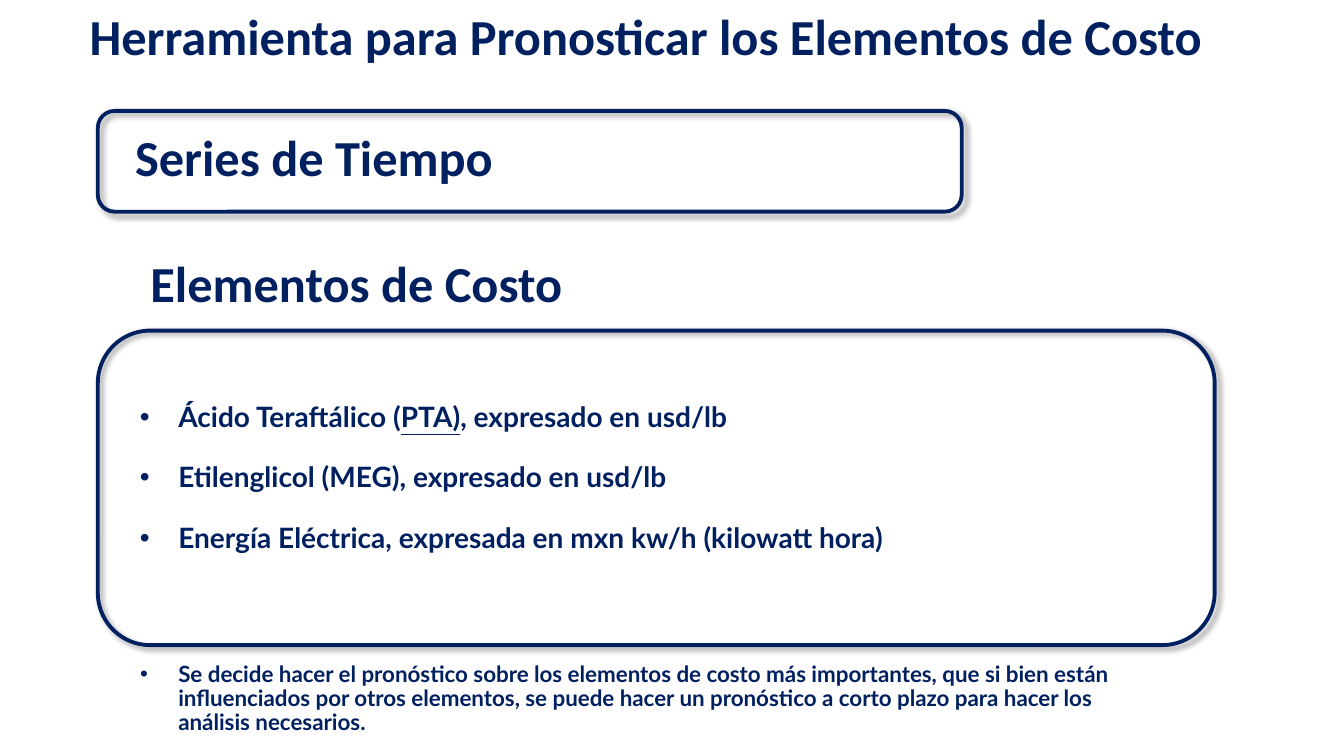
"""Build a slide on the tool used to forecast cost elements."""
from dataclasses import dataclass

from lxml import etree
from pptx import Presentation
from pptx.dml.color import RGBColor
from pptx.enum.shapes import MSO_SHAPE
from pptx.enum.text import MSO_ANCHOR, PP_ALIGN
from pptx.oxml import parse_xml
from pptx.oxml.ns import nsdecls, qn
from pptx.slide import Slide
from pptx.text.text import TextFrame
from pptx.util import Inches, Pt

NAVY = RGBColor(0x00, 0x20, 0x60)
BLACK = RGBColor(0x00, 0x00, 0x00)
ROUNDED = MSO_SHAPE.ROUNDED_RECTANGLE
MIDDLE = MSO_ANCHOR.MIDDLE
CENTER = PP_ALIGN.CENTER
SLIDE_WIDTH = Inches(13.33)
SLIDE_HEIGHT = Inches(7.5)
BULLET_INDENT = Inches(0.38)
LEFT_EDGE = 7.28
LIST_EDGE = 9.68
HEADING_HEIGHT = 7.73


@dataclass(frozen=True)
class Area:
    """Position and size in percent of the slide."""

    left: float
    top: float
    width: float
    height: float

    def box(self) -> tuple[int, int, int, int]:
        """Convert the shares to slide lengths."""
        return (
            int(SLIDE_WIDTH * self.left / 100),
            int(SLIDE_HEIGHT * self.top / 100),
            int(SLIDE_WIDTH * self.width / 100),
            int(SLIDE_HEIGHT * self.height / 100),
        )


@dataclass(frozen=True)
class Heading:
    """A centred, outlined line of text."""

    text: str
    area: Area


@dataclass(frozen=True)
class Piece:
    """A stretch of text within a bullet."""

    text: str
    underlined: bool = False


@dataclass(frozen=True)
class BulletList:
    """Bullets of one size, each made of pieces."""

    bullets: tuple[tuple[Piece, ...], ...]
    area: Area
    size: float
    gap: float = 0


TITLE = Heading(
    "Herramienta para Pronosticar los Elementos de Costo",
    Area(3.08, 1.73, 90, HEADING_HEIGHT),
)
COST_HEADING = Heading("Elementos de Costo", Area(LEFT_EDGE, 34.47, 38.48, HEADING_HEIGHT))
SERIES_HEADING = Heading("Series de Tiempo", Area(LEFT_EDGE, 17.8, 32.18, HEADING_HEIGHT))
COST_FRAME = Area(LEFT_EDGE, 43.73, 83.1, 41.6)
SERIES_FRAME = Area(LEFT_EDGE, 14.67, 64.28, 13.33)
COST_ELEMENTS = BulletList(
    (
        (
            Piece("Ácido Teraftálico ("),
            Piece("PTA)", underlined=True),
            Piece(", expresado en usd/lb"),
        ),
        (Piece("Etilenglicol (MEG), expresado en usd/lb"),),
        (Piece("Energía Eléctrica, expresada en mxn kw/h (kilowatt hora)"),),
    ),
    Area(LIST_EDGE, 53.33, 83.1, 20),
    size=20,
    gap=21.6,
)
DECISION = BulletList(
    (
        (
            Piece(
                "Se decide hacer el pronóstico sobre los elementos de costo más "
                "importantes, que si bien están influenciados por otros elementos, "
                "se puede hacer un pronóstico a corto plazo para hacer los análisis "
                "necesarios."
            ),
        ),
    ),
    Area(LIST_EDGE, 84.93, 75.3, 15.07),
    size=16,
)


def add_text_frame(slide: Slide, area: Area) -> TextFrame:
    """Add a wrapping, vertically centred text box."""
    frame = slide.shapes.add_textbox(*area.box()).text_frame
    frame.word_wrap = True
    frame.vertical_anchor = MIDDLE
    return frame


def draw_heading(slide: Slide, heading: Heading) -> None:
    """Draw a heading with a thin outline on its letters."""
    paragraph = add_text_frame(slide, heading.area).paragraphs[0]
    paragraph.alignment = CENTER
    paragraph.line_spacing = 0.7
    run = paragraph.add_run()
    run.text = heading.text
    outline = parse_xml(
        f'<a:ln {nsdecls("a")} w="{Pt(0.75)}"><a:solidFill>'
        f'<a:srgbClr val="{NAVY}"/></a:solidFill></a:ln>'
    )
    run._r.get_or_add_rPr().insert(0, outline)
    font = paragraph.font
    font.name, font.size, font.bold = "Calibri", Pt(36), True
    font.color.rgb = NAVY


def draw_bullets(slide: Slide, content: BulletList) -> None:
    """Draw a bulleted list with a hanging indent."""
    frame = add_text_frame(slide, content.area)
    for index, pieces in enumerate(content.bullets):
        paragraph = frame.add_paragraph() if index else frame.paragraphs[0]
        paragraph.line_spacing = 0.9
        if index:
            paragraph.space_before = Pt(content.gap)
        properties = paragraph._p.get_or_add_pPr()
        properties.set("marL", str(BULLET_INDENT))
        properties.set("indent", str(-BULLET_INDENT))
        etree.SubElement(properties, qn("a:buFont"), typeface="Arial")
        etree.SubElement(properties, qn("a:buChar"), char="•")
        for piece in pieces:
            run = paragraph.add_run()
            run.text = piece.text
            if piece.underlined:
                run.font.underline = True
        font = paragraph.font
        font.name, font.size, font.bold = "Lato", Pt(content.size), True
        font.color.rgb = NAVY


def draw_frame(slide: Slide, area: Area) -> None:
    """Draw an unfilled rounded frame with a soft shadow."""
    frame = slide.shapes.add_shape(ROUNDED, *area.box())
    frame.fill.background()
    frame.line.color.rgb = NAVY
    frame.line.width = Pt(2.75)
    frame.shadow.inherit = False
    effects = frame._element.spPr.find(qn("a:effectLst"))
    effects.append(parse_xml(
        f'<a:outerShdw {nsdecls("a")} blurRad="{Pt(4)}" dist="{Pt(3)}" '
        f'dir="{45 * 60000}" algn="tl" rotWithShape="0">'
        f'<a:srgbClr val="{BLACK}"><a:alpha val="40000"/></a:srgbClr></a:outerShdw>'
    ))


def main() -> None:
    """Assemble and save the slide."""
    presentation = Presentation()
    presentation.slide_width = SLIDE_WIDTH
    presentation.slide_height = SLIDE_HEIGHT
    slide = presentation.slides.add_slide(presentation.slide_layouts[6])
    draw_heading(slide, TITLE)
    draw_bullets(slide, COST_ELEMENTS)
    draw_frame(slide, COST_FRAME)
    draw_heading(slide, COST_HEADING)
    draw_bullets(slide, DECISION)
    draw_heading(slide, SERIES_HEADING)
    draw_frame(slide, SERIES_FRAME)
    presentation.save("out.pptx")


if __name__ == "__main__":
    main()
